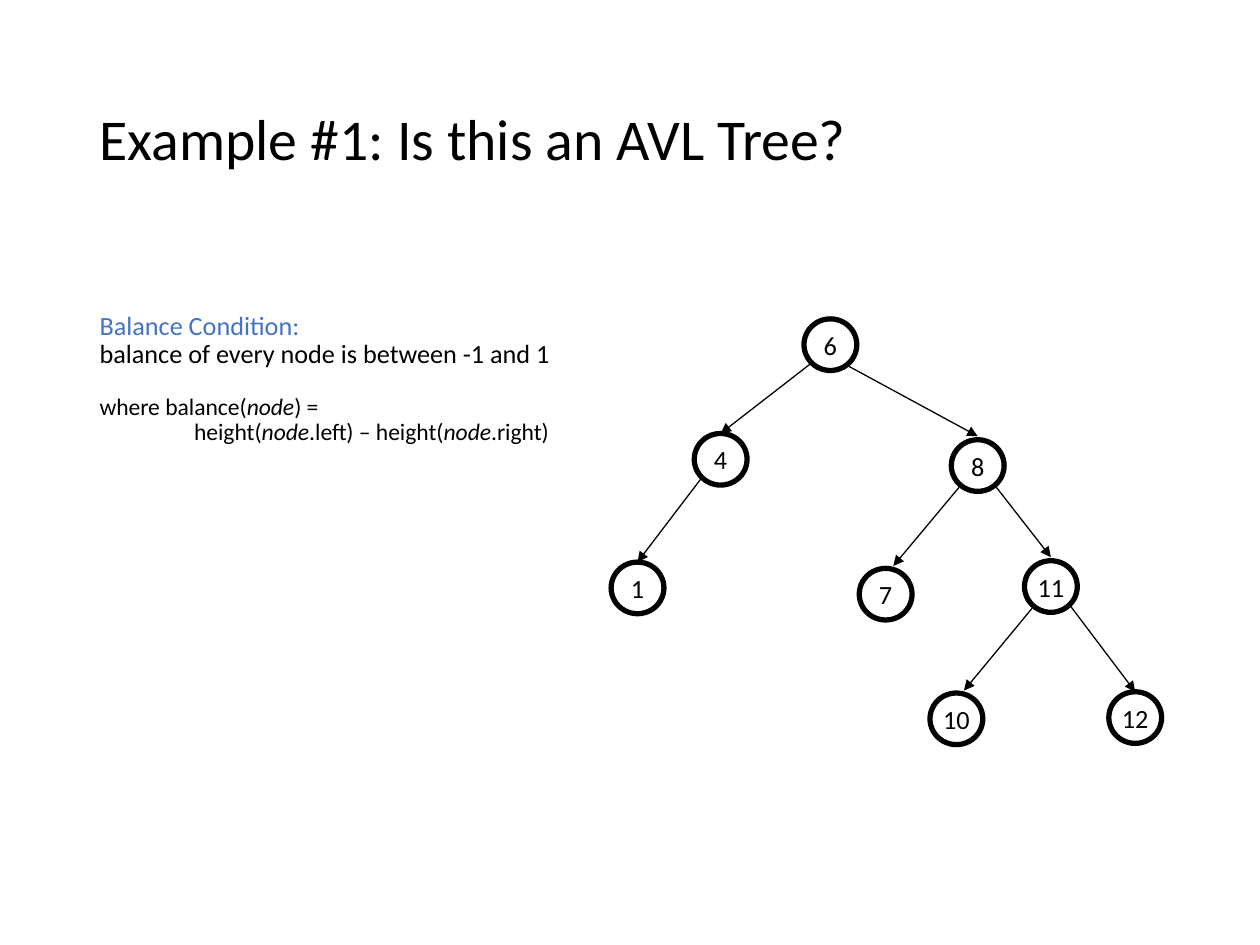
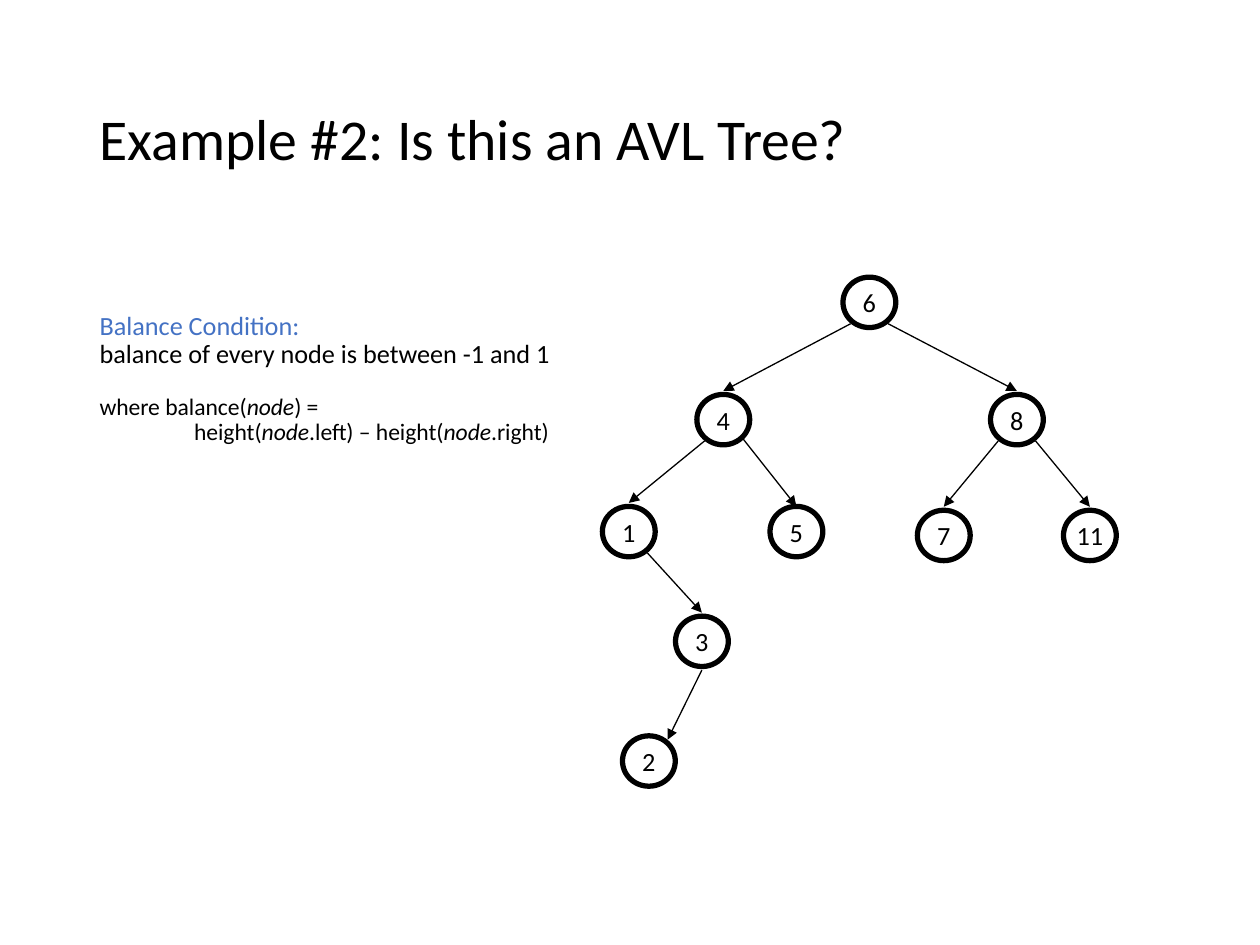
"""Two slides that ask whether a binary tree satisfies the AVL balance condition."""
import math

import lxml.etree
import pptx
import pptx.dml.color
import pptx.enum.shapes
import pptx.enum.text
import pptx.oxml.ns
import pptx.util

Pt = pptx.util.Pt
ANCHOR = pptx.enum.text.MSO_ANCHOR
ALIGN = pptx.enum.text.PP_ALIGN
COLORS = {"ink": "000000", "accent": "4472C4", "paper": "FFFFFF"}
FONT = "Calibri"
TITLE_BOX = (49.7, 28.8, 620.6, 104.4)
BODY_BOX = (49.7, 175, 314, 257)
DIAGONAL = math.sqrt(0.5)

CONDITION = [
    {"size": 15, "color": "accent", "spans": ["Balance Condition:"]},
    {"size": 15, "spans": ["balance of every node is between -1 and 1"]},
    {"size": 13.5, "before": 14.5, "spans": ["where balance(", "node", ") ="]},
    {"size": 13.5, "indent": 54,
     "spans": ["height(", "node", ".left) – height(", "node", ".right)"]},
]

EXAMPLES = [
    {
        "title": "Example #1: Is this an AVL Tree?",
        "box": (349.2, 182.2),
        "node_size": (30.2, 29.5),
        "nodes": {6: (110.2, 0), 4: (47.5, 65.5), 8: (194.4, 69.1), 1: (0, 139),
                  7: (141.8, 142.6), 11: (236.2, 138.2), 10: (182.2, 213.8),
                  12: (284.4, 213.1)},
        "edges": [{"link": (6, 4), "gap": 0}, {"link": (6, 8)},
                  {"link": (4, 1), "gap": 0}, {"link": (8, 7), "reach": 0.29},
                  {"link": (8, 11)}, {"link": (11, 10), "reach": 0.29},
                  {"link": (11, 12), "gap": 0}],
    },
    {
        "title": "Example #2: Is this an AVL Tree?",
        "box": (344.2, 158.4),
        "node_size": (30.2, 28.8),
        "nodes": {6: (137.5, 0), 4: (54, 67), 8: (221.8, 67), 1: (0, 131),
                  5: (95.8, 131), 7: (180, 133.2), 11: (263.5, 133.2),
                  3: (41.8, 193.7), 2: (11.5, 262.1)},
        "edges": [{"link": (6, 4)}, {"link": (6, 8)}, {"link": (4, 1)},
                  {"link": (4, 5), "gap": 0}, {"link": (8, 7)}, {"link": (8, 11)},
                  {"link": (1, 3)}, {"link": (3, 2), "leave": 0, "reach": DIAGONAL}],
    },
]


def rgb(name):
    """Return the named palette colour."""
    return pptx.dml.color.RGBColor.from_string(COLORS[name])


def add_span(para, text, size, color="ink", italic=False):
    """Append one formatted run to a paragraph."""
    span = para.add_run()
    span.text = text
    span.font.name = FONT
    span.font.size = Pt(size)
    span.font.italic = italic
    span.font.color.rgb = rgb(color)


def place(holder, box, anchor):
    """Move a placeholder into its box and return its text frame."""
    holder.left, holder.top, holder.width, holder.height = map(Pt, box)
    frame = holder.text_frame
    frame.word_wrap = True
    frame.auto_size = pptx.enum.text.MSO_AUTO_SIZE.NONE
    frame.vertical_anchor = anchor
    return frame


def fill_title(page, text, box):
    """Write the slide title into its placeholder."""
    para = place(page.shapes.title, box, ANCHOR.MIDDLE).paragraphs[0]
    para.alignment = ALIGN.LEFT
    para.line_spacing = 0.9
    add_span(para, text, 33)


def fill_condition(page, box):
    """Write the balance condition into the body placeholder."""
    frame = place(page.placeholders[1], box, ANCHOR.TOP)
    for index, line in enumerate(CONDITION):
        para = frame.add_paragraph() if index else frame.paragraphs[0]
        para.line_spacing = 0.9
        para.space_before = Pt(line.get("before", 0))
        properties = para._p.get_or_add_pPr()
        properties.set("marL", str(Pt(line.get("indent", 0))))
        properties.set("indent", "0")
        lxml.etree.SubElement(properties, pptx.oxml.ns.qn("a:buNone"))
        for text in line["spans"]:
            add_span(para, text, line["size"], line.get("color", "ink"), text == "node")


def add_node(shapes, key, left, top, size):
    """Draw one ringed tree node with its key."""
    node = shapes.add_shape(pptx.enum.shapes.MSO_SHAPE.OVAL,
                            Pt(left), Pt(top), Pt(size[0]), Pt(size[1]))
    node.shadow.inherit = False
    node.fill.background()
    node.line.color.rgb = rgb("ink")
    node.line.width = Pt(3)
    frame = node.text_frame
    frame.word_wrap = False
    frame.vertical_anchor = ANCHOR.MIDDLE
    para = frame.paragraphs[0]
    para.alignment = ALIGN.CENTER
    add_span(para, str(key), 15)


def rim_point(corner, size, across, side):
    """Return the point of a node's rim at a fraction across, below (1) or above (-1)."""
    half_width, half_height = size[0] / 2, size[1] / 2
    return (corner[0] + half_width * (1 + across),
            corner[1] + half_height * (1 + side * math.sqrt(1 - across ** 2)))


def add_edge(shapes, parent, child, size, gap=2, leave=DIAGONAL, reach=0):
    """Draw an arrow from the lower rim of a parent to the upper rim of a child."""
    toward = 1 if child[0] > parent[0] else -1
    start_x, start_y = rim_point(parent, size, toward * leave, 1)
    end_x, end_y = rim_point(child, size, reach, -1)
    edge = shapes.add_connector(pptx.enum.shapes.MSO_CONNECTOR.STRAIGHT,
                                Pt(start_x), Pt(start_y + gap), Pt(end_x), Pt(end_y - gap))
    edge.line.color.rgb = rgb("ink")
    edge.line.width = Pt(0.75)
    tail = lxml.etree.SubElement(edge.line._get_or_add_ln(), pptx.oxml.ns.qn("a:tailEnd"))
    tail.set("type", "triangle")
    lxml.etree.SubElement(edge._element.spPr, pptx.oxml.ns.qn("a:effectLst"))


def draw_tree(page, box, size, nodes, edges):
    """Draw a tree as one group, with nodes placed from the corner of its box."""
    shapes = page.shapes.add_group_shape().shapes
    corners = {key: (box[0] + x, box[1] + y) for key, (x, y) in nodes.items()}
    for key, (left, top) in corners.items():
        add_node(shapes, key, left, top, size)
    for edge in edges:
        parent, child = edge["link"]
        options = {name: value for name, value in edge.items() if name != "link"}
        add_edge(shapes, corners[parent], corners[child], size, **options)


def build_example(deck, example):
    """Add one example slide: title, balance condition and tree."""
    page = deck.slides.add_slide(deck.slide_layouts[1])
    page.background.fill.solid()
    page.background.fill.fore_color.rgb = rgb("paper")
    fill_title(page, example["title"], TITLE_BOX)
    fill_condition(page, BODY_BOX)
    draw_tree(page, example["box"], example["node_size"], example["nodes"], example["edges"])


def main():
    """Build and save the deck."""
    deck = pptx.Presentation()
    deck.slide_width, deck.slide_height = Pt(720), Pt(540)
    for example in EXAMPLES:
        build_example(deck, example)
    deck.save("out.pptx")


if __name__ == "__main__":
    main()
